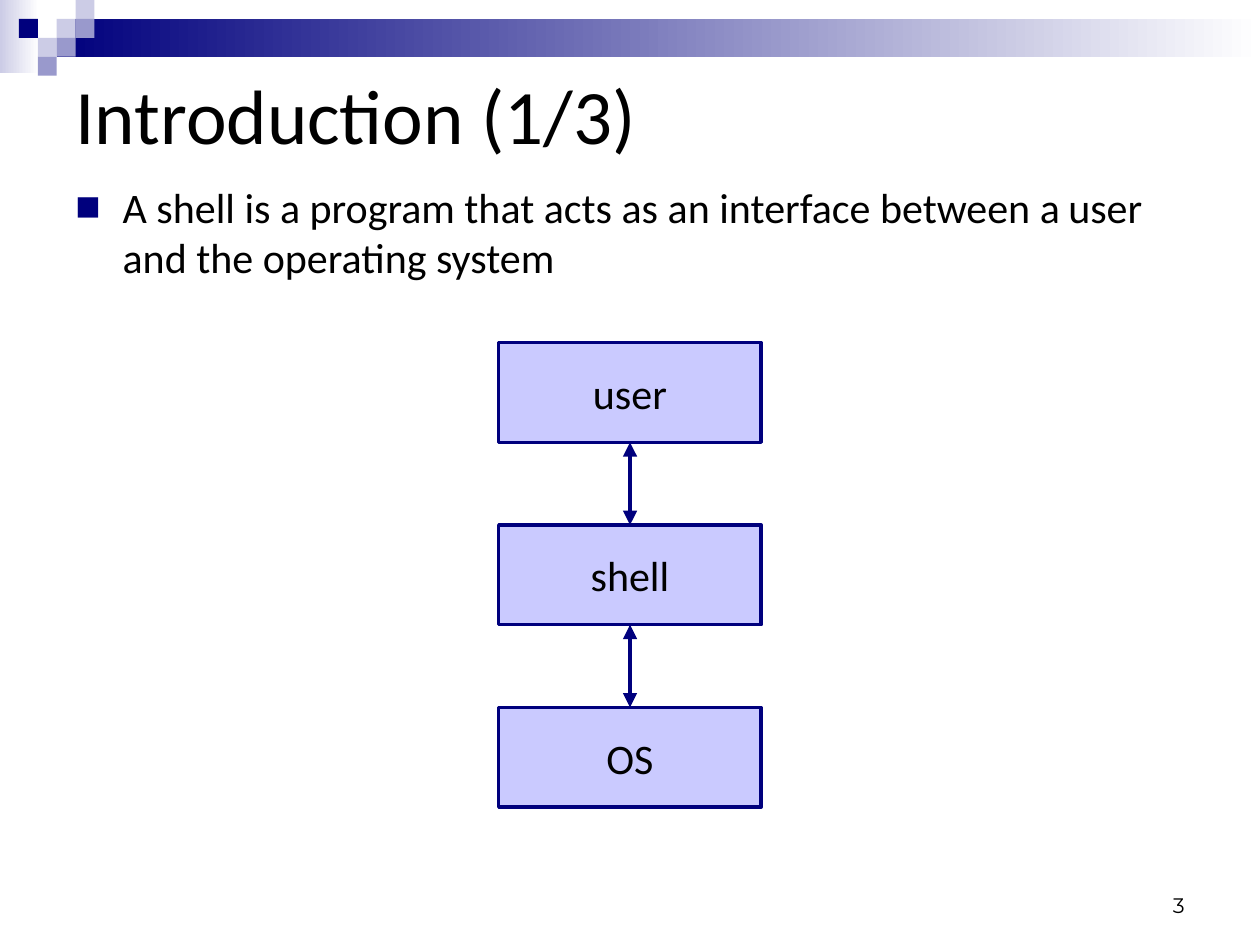
from lxml.etree import SubElement
from pptx import Presentation
from pptx.dml.color import RGBColor
from pptx.enum.shapes import MSO_CONNECTOR, MSO_SHAPE
from pptx.enum.text import MSO_ANCHOR, PP_ALIGN
from pptx.oxml.ns import qn
from pptx.util import Pt

NAVY = RGBColor(0x00, 0x00, 0x7D)
PERIWINKLE = RGBColor(0x99, 0x99, 0xCC)
PALE = RGBColor(0xCC, 0xCC, 0xE6)
LILAC = RGBColor(0xCA, 0xCA, 0xFF)
BLACK = RGBColor(0, 0, 0)
WHITE = RGBColor(0xFF, 0xFF, 0xFF)


def add_span(para, text, size, font="Calibri"):
    span = para.add_run()
    span.text = text
    span.font.size = Pt(size)
    span.font.name = font
    span.font.color.rgb = BLACK


def add_rectangle(page, left, top, width, height):
    box = page.shapes.add_shape(
        MSO_SHAPE.RECTANGLE, Pt(left), Pt(top), Pt(width), Pt(height))
    box.shadow.inherit = False
    box.line.fill.background()
    return box


def add_text_box(page, left, top, width, height):
    box = page.shapes.add_textbox(Pt(left), Pt(top), Pt(width), Pt(height))
    box.text_frame.word_wrap = True
    return box.text_frame


def add_banner(page, left, top, width):
    cell = 10.8
    fades = [(0, 0, 22.3, 41.8, PALE),
             (32.4, cell, width - 32.4, 21.6, NAVY)]
    for x, y, fade_width, height, color in fades:
        box = add_rectangle(page, left + x, top + y, fade_width, height)
        box.fill.gradient()
        box.fill.gradient_angle = 0
        for stop, stop_color in zip(box.fill.gradient_stops, (color, WHITE)):
            stop.color.rgb = stop_color

    squares = [(3, 1, PALE), (4, 0, PALE), (4, 1, PERIWINKLE), (2, 2, PALE),
               (1, 1, NAVY), (3, 2, PERIWINKLE), (2, 3, PERIWINKLE)]
    for column, row, color in squares:
        box = add_rectangle(
            page, left + column * cell, top + row * cell, cell, cell)
        box.fill.solid()
        box.fill.fore_color.rgb = color


def add_title(page, left, top, width, height):
    title = page.shapes.title
    title.left, title.top = Pt(left), Pt(top)
    title.width, title.height = Pt(width), Pt(height)
    title.text_frame.vertical_anchor = MSO_ANCHOR.MIDDLE
    para = title.text_frame.paragraphs[0]
    para.alignment = PP_ALIGN.LEFT
    add_span(para, "Introduction (1/3)", 44)


def add_body(page, left, top, width, height):
    para = add_text_box(page, left, top, width, height).paragraphs[0]
    para.space_before = Pt(5)
    settings = para._p.get_or_add_pPr()
    settings.set("marL", str(Pt(27)))
    settings.set("indent", str(-Pt(27)))
    color = SubElement(settings, qn("a:buClr"))
    SubElement(color, qn("a:srgbClr"), val=str(NAVY))
    SubElement(settings, qn("a:buFont"), typeface="Arial")
    SubElement(settings, qn("a:buChar"), char="■")
    add_span(para, "A shell is a program that acts as an interface between a", 24)
    add_span(para, " ", 20)
    add_span(para, "user and the operating system", 24)


def add_layer(page, left, top, width, height, label):
    box = add_rectangle(page, left, top, width, height)
    box.fill.solid()
    box.fill.fore_color.rgb = LILAC
    box.line.color.rgb = NAVY
    box.line.width = Pt(2)
    box.text_frame.vertical_anchor = MSO_ANCHOR.MIDDLE
    para = box.text_frame.paragraphs[0]
    para.alignment = PP_ALIGN.CENTER
    add_span(para, label, 24)
    return box


def join_layers(page, upper, lower):
    arrow = page.shapes.add_connector(MSO_CONNECTOR.STRAIGHT, 0, 0, 0, 0)
    arrow.begin_connect(upper, 2)
    arrow.end_connect(lower, 0)
    arrow.line.color.rgb = NAVY
    arrow.line.width = Pt(2.75)
    line = arrow.line._get_or_add_ln()
    for end in ("a:headEnd", "a:tailEnd"):
        SubElement(line, qn(end), type="triangle")
    SubElement(arrow._element.spPr, qn("a:effectLst"))


def add_layer_diagram(page, left, top, width, height):
    labels = ["user", "shell", "OS"]
    layer_height = 57
    step = (height - layer_height) / (len(labels) - 1)
    layers = [add_layer(page, left, top + index * step, width, layer_height, label)
              for index, label in enumerate(labels)]
    for upper, lower in zip(layers, layers[1:]):
        join_layers(page, upper, lower)


def add_page_number(page, left, top, width, height):
    frame = add_text_box(page, left, top, width, height)
    frame.vertical_anchor = MSO_ANCHOR.BOTTOM
    para = frame.paragraphs[0]
    para.alignment = PP_ALIGN.RIGHT
    add_span(para, "3", 12, "Montserrat")


def main():
    deck = Presentation()
    deck.slide_width, deck.slide_height = Pt(720), Pt(540)
    page = deck.slides.add_slide(deck.slide_layouts[5])
    add_banner(page, 0, 0, 720)
    add_title(page, 36, 36, 648, 58)
    add_body(page, 36, 100, 648, 362)
    add_layer_diagram(page, 285, 195.75, 150, 265.5)
    add_page_number(page, 516, 492, 168, 36)
    deck.save("out.pptx")


if __name__ == "__main__":
    main()
